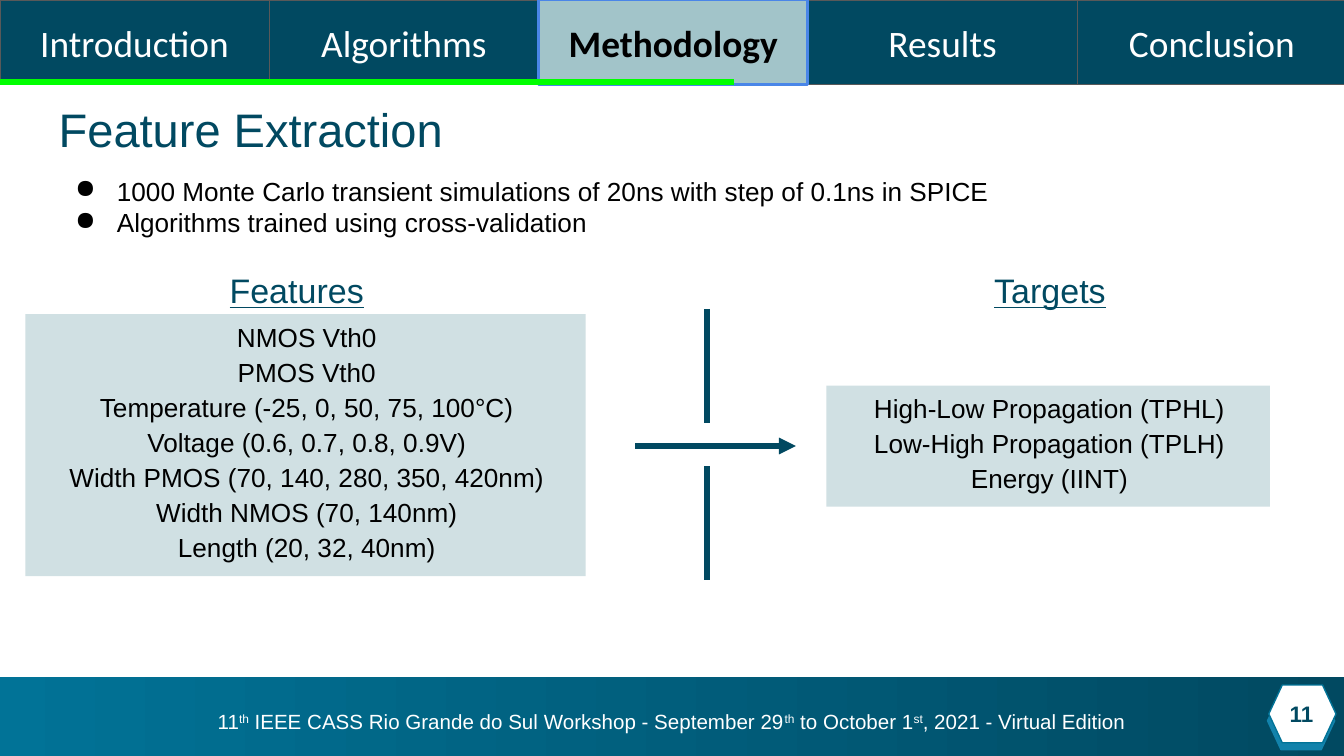
from dataclasses import dataclass

from lxml.etree import SubElement
from pptx import Presentation
from pptx.dml.color import RGBColor
from pptx.enum.shapes import MSO_CONNECTOR, MSO_SHAPE
from pptx.enum.text import MSO_ANCHOR, PP_ALIGN
from pptx.oxml.ns import qn
from pptx.util import Cm, Pt

NAVY, TEAL, WHITE, BLACK = "014961", "017397", "FFFFFF", "000000"
EVEN = (0.25, 0.25, 0.25, 0.25)
BODY = (0.3, 0.13, 0.25, 0.13)


@dataclass(frozen=True)
class Box:
    left: float
    top: float
    width: float
    height: float

    def lengths(self):
        return [Cm(v) for v in (self.left, self.top, self.width, self.height)]


@dataclass(frozen=True)
class Style:
    size: float
    color: str = BLACK
    font: str = "Arial"
    bold: bool = False
    underline: bool = False
    align: PP_ALIGN = PP_ALIGN.LEFT
    anchor: MSO_ANCHOR = MSO_ANCHOR.TOP
    insets: tuple = EVEN
    gap: float = 0


@dataclass(frozen=True)
class Tab:
    label: str
    active: bool = False


@dataclass(frozen=True)
class Panel:
    heading: str
    heading_left: float
    box: Box
    lines: tuple


@dataclass(frozen=True)
class Line:
    x1: float
    y1: float
    x2: float
    y2: float
    color: str = NAVY
    arrow: bool = False


TABS = (Tab("Introduction"), Tab("Algorithms"), Tab("Methodology", True),
        Tab("Results"), Tab("Conclusion"))
TAB_PITCH, TAB_HEIGHT = 5.09, 1.6
BULLETS = ("1000 Monte Carlo transient simulations of 20ns with step of 0.1ns in SPICE",
           "Algorithms trained using cross-validation")
PANELS = (
    Panel("Features", 4.09, Box(0.48, 5.94, 10.59, 4.95), (
        "NMOS Vth0", "PMOS Vth0", "Temperature (-25, 0, 50, 75, 100°C)",
        "Voltage (0.6, 0.7, 0.8, 0.9V)", "Width PMOS (70, 140, 280, 350, 420nm)",
        "Width NMOS (70, 140nm)", "Length (20, 32, 40nm)")),
    Panel("Targets", 18.54, Box(15.62, 7.29, 8.38, 2.29), (
        "High-Low Propagation (TPHL)", "Low-High Propagation (TPLH)", "Energy (IINT)")),
)
LINES = (
    Line(13.36, 5.84, 13.36, 8),
    Line(13.36, 8.81, 13.36, 10.97),
    Line(12.01, 8.43, 15.04, 8.43, arrow=True),
    Line(0, 1.55, 13.87, 1.55, "00FF00"),
)
FOOTER = (("11", False), ("th", True),
          (" IEEE CASS Rio Grande do Sul Workshop - September 29", False), ("th", True),
          (" to October 1", False), ("st", True), (", 2021 - Virtual Edition", False))


def rgb(value: str) -> RGBColor:
    """Turn a hex string into a colour."""
    return RGBColor.from_string(value)


def format_font(font, style: Style) -> None:
    """Apply a text style to a font."""
    font.name, font.size = style.font, Pt(style.size)
    font.bold, font.underline = style.bold, style.underline
    font.color.rgb = rgb(style.color)


def prepare_frame(tf, style: Style) -> None:
    """Set wrapping, anchor and insets of a text frame."""
    tf.word_wrap, tf.vertical_anchor = True, style.anchor
    tf.margin_left, tf.margin_top, tf.margin_right, tf.margin_bottom = map(Cm, style.insets)


def write(s, lines, style: Style) -> None:
    """Write one paragraph per line into a shape."""
    tf = s.text_frame
    prepare_frame(tf, style)
    tf.text = "\n".join(lines)
    for i, p in enumerate(tf.paragraphs):
        p.alignment = style.align
        if i and style.gap:
            p.space_before = Pt(style.gap)
        for r in p.runs:
            format_font(r.font, style)


def add_text(slide, box: Box, lines, style: Style):
    """Add a text box."""
    s = slide.shapes.add_textbox(*box.lengths())
    write(s, lines, style)
    return s


def add_block(slide, box: Box, fill=None, line=None, weight=0.75, kind=MSO_SHAPE.RECTANGLE):
    """Add a preset shape with optional fill and outline."""
    s = slide.shapes.add_shape(kind, *box.lengths())
    s.shadow.inherit = False
    if fill:
        s.fill.solid()
        s.fill.fore_color.rgb = rgb(fill)
    if line:
        s.line.color.rgb, s.line.width = rgb(line), Pt(weight)
    else:
        s.line.fill.background()
    return s


def add_line(slide, line: Line) -> None:
    """Add a straight line, with an arrowhead when asked."""
    s = slide.shapes.add_connector(
        MSO_CONNECTOR.STRAIGHT, *map(Cm, (line.x1, line.y1, line.x2, line.y2)))
    s.line.color.rgb, s.line.width = rgb(line.color), Pt(3)
    if line.arrow:
        SubElement(s.line._get_or_add_ln(), qn("a:tailEnd"), type="triangle")
    SubElement(s._element.spPr, qn("a:effectLst"))


def add_footer(slide) -> None:
    """Add the gradient footer and its text with raised ordinals."""
    s = add_block(slide, Box(-0.1, 12.8, 25.58, 1.68))
    s.fill.gradient()
    s.fill.gradient_angle = 180
    for stop, color, position in zip(s.fill.gradient_stops, (NAVY, TEAL), (0, 1)):
        stop.color.rgb, stop.position = rgb(color), position
    style = Style(11, WHITE, anchor=MSO_ANCHOR.MIDDLE)
    prepare_frame(s.text_frame, style)
    p = s.text_frame.paragraphs[0]
    p.alignment = PP_ALIGN.CENTER
    for text, raised in FOOTER:
        r = p.add_run()
        r.text = text
        format_font(r.font, style)
        if raised:
            r._r.get_or_add_rPr().set("baseline", "30000")


def add_page_number(slide) -> None:
    """Add the hexagon badge with its coloured shadow and number."""
    s = add_block(slide, Box(23.98, 12.95, 1.27, 1.09), WHITE, TEAL,
                  kind=MSO_SHAPE.FLOWCHART_PREPARATION)
    effects = s._element.spPr.find(qn("a:effectLst"))
    shadow = SubElement(effects, qn("a:outerShdw"), blurRad="0", dist=str(Pt(3.8)),
                        dir=str(101 * 60000), algn="bl", rotWithShape="0")
    color = SubElement(shadow, qn("a:srgbClr"), val="1488B3")
    SubElement(color, qn("a:alpha"), val="91000")
    add_text(slide, Box(24, 12.95, 1.07, 1.09), ["11"],
             Style(12, NAVY, bold=True, align=PP_ALIGN.RIGHT, anchor=MSO_ANCHOR.MIDDLE))


def add_tabs(slide) -> None:
    """Add the navigation tabs, the active one on top."""
    for i, tab in sorted(enumerate(TABS), key=lambda item: item[1].active):
        fill, line, weight, color = (
            ("A2C4C9", "4A86E8", 1.5, BLACK) if tab.active else (NAVY, "595959", 0.75, WHITE))
        s = add_block(slide, Box(i * TAB_PITCH, 0, TAB_PITCH, TAB_HEIGHT), fill, line, weight)
        write(s, [tab.label], Style(20, color, "Calibri", tab.active,
                                    align=PP_ALIGN.CENTER, anchor=MSO_ANCHOR.MIDDLE))


def add_bullets(slide) -> None:
    """Add the bulleted introduction."""
    s = add_text(slide, Box(1.12, 3.18, 19.63, 1.55), BULLETS,
                 Style(14, align=PP_ALIGN.JUSTIFY, insets=BODY))
    for p in s.text_frame.paragraphs:
        pPr = p._p.get_or_add_pPr()
        pPr.set("marL", str(Cm(0.79)))
        pPr.set("indent", str(Cm(-0.89)))
        SubElement(SubElement(pPr, qn("a:buClr")), qn("a:srgbClr"), val=BLACK)
        SubElement(pPr, qn("a:buChar"), char="●")


def add_panel(slide, panel: Panel) -> None:
    """Add a tinted list with its underlined heading."""
    s = add_block(slide, panel.box, "D0E0E3")
    write(s, panel.lines, Style(14, align=PP_ALIGN.CENTER, insets=BODY, gap=2))
    s.text_frame.paragraphs[-1].space_after = Pt(2)
    add_text(slide, Box(panel.heading_left, 4.85, 3.33, 1.6), [panel.heading],
             Style(18.2, NAVY, underline=True))


def main() -> None:
    """Build and save the slide."""
    prs = Presentation()
    prs.slide_width, prs.slide_height = Cm(25.4), Cm(14.29)
    slide = prs.slides.add_slide(prs.slide_layouts[6])
    add_footer(slide)
    add_page_number(slide)
    add_tabs(slide)
    add_text(slide, Box(0.86, 1.65, 23.67, 1.6), ["Feature Extraction"], Style(25.2, NAVY))
    add_bullets(slide)
    for panel in PANELS:
        add_panel(slide, panel)
    for line in LINES:
        add_line(slide, line)
    prs.save("out.pptx")


if __name__ == "__main__":
    main()
